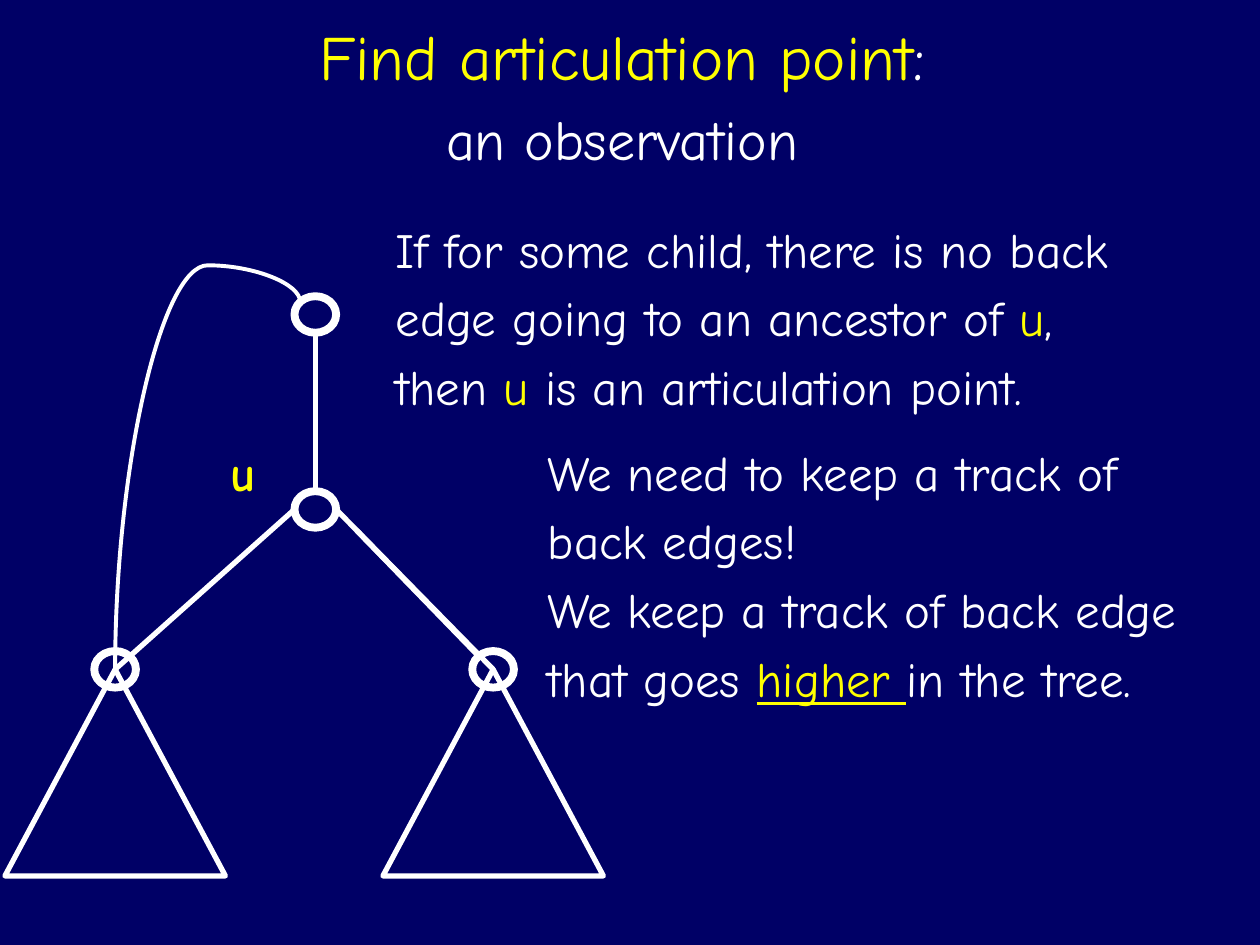
from lxml import etree
from pptx import Presentation
from pptx import util as u
from pptx.dml.color import RGBColor
from pptx.enum import shapes, text
from pptx.oxml import ns

Pt = u.Pt
COLORS = {"navy": "000066", "white": "FFFFFF", "yellow": "FFFF00"}
FONT = "Comic Neue"
NODE_WIDTH, NODE_HEIGHT = 23.8, 20.9
TREE_WIDTH, TREE_HEIGHT = 126, 118
HANGING = 27

# Centres of the graph nodes
ROOT = (180.2, 179.7)
NODE_U = (180.2, 291.1)
CHILDREN = [(65.8, 382.5), (281.8, 382.5)]


def color(name):
    return RGBColor.from_string(COLORS[name])


def style_line(shape, width):
    shape.line.color.rgb = color("white")
    shape.line.width = Pt(width)


def add_outline(slide, kind, left, top, width, height, line):
    shape = slide.shapes.add_shape(kind, Pt(left), Pt(top), Pt(width), Pt(height))
    shape.shadow.inherit = False
    shape.fill.background()
    style_line(shape, line)


def add_node(slide, center):
    x, y = center
    add_outline(slide, shapes.MSO_SHAPE.OVAL, x - NODE_WIDTH / 2, y - NODE_HEIGHT / 2,
                NODE_WIDTH, NODE_HEIGHT, 4.5)


def add_subtree(slide, apex):
    x, y = apex
    add_outline(slide, shapes.MSO_SHAPE.ISOSCELES_TRIANGLE, x - TREE_WIDTH / 2, y,
                TREE_WIDTH, TREE_HEIGHT, 3)


def add_edge(slide, start, end, width=3, kind=shapes.MSO_CONNECTOR.STRAIGHT):
    edge = slide.shapes.add_connector(kind, *(Pt(value) for value in (*start, *end)))
    etree.SubElement(edge._element.spPr, ns.qn("a:effectLst"))
    style_line(edge, width)
    return edge


def add_back_edge(slide, start, end, bend):
    """Curve that leaves start upwards: a flipped connector turned by 90 degrees."""
    middle_x, middle_y = (start[0] + end[0]) / 2, (start[1] + end[1]) / 2
    half_x, half_y = (end[0] - start[0]) / 2, (start[1] - end[1]) / 2
    edge = add_edge(slide, (middle_x + half_y, middle_y + half_x),
                    (middle_x - half_y, middle_y - half_x), 2.25, shapes.MSO_CONNECTOR.CURVE)
    properties = edge._element.spPr
    properties.find(ns.qn("a:xfrm")).set("rot", str(90 * 60000))
    guides = properties.find(ns.qn("a:prstGeom")).find(ns.qn("a:avLst"))
    etree.SubElement(guides, ns.qn("a:gd"), name="adj1", fmla=f"val {round(bend * 100000)}")


def write_text(box, lines, size=28, align=text.PP_ALIGN.LEFT, bold=False, hanging=HANGING,
               spacing=None, anchor=text.MSO_ANCHOR.TOP, fit=text.MSO_AUTO_SIZE.NONE):
    """Each line is a list of spans: (words, color name[, extra font settings])."""
    frame = box.text_frame
    frame.word_wrap = True
    frame.auto_size = fit
    frame.vertical_anchor = anchor
    for index, spans in enumerate(lines):
        para = frame.paragraphs[0] if index == 0 else frame.add_paragraph()
        properties = para._p.get_or_add_pPr()
        properties.set("marL", str(Pt(hanging)))
        properties.set("indent", str(-Pt(hanging)))
        if index:
            before = etree.SubElement(properties, ns.qn("a:spcBef"))
            etree.SubElement(before, ns.qn("a:spcPct"), val="20000")
        para.alignment = align
        if spacing:
            para.line_spacing = spacing
        for words, tint, *extra in spans:
            span = para.add_run()
            span.text = words
            font = span.font
            font.name, font.size, font.bold = FONT, Pt(size), bold
            font.color.rgb = color(tint)
            for settings in extra:
                for key, value in settings.items():
                    setattr(font, key, value)


def add_text(slide, left, top, width, height, lines, **style):
    box = slide.shapes.add_textbox(Pt(left), Pt(top), Pt(width), Pt(height))
    write_text(box, lines, **style)


def add_title(slide):
    title = slide.shapes.title
    title.left, title.top, title.width, title.height = Pt(54), Pt(12), Pt(603), Pt(84)
    frame = title.text_frame
    frame.margin_left = frame.margin_right = Pt(21.6)
    frame.margin_top = frame.margin_bottom = Pt(3.6)
    write_text(title, [
        [("Find articulation point", "yellow"), (":", "white")],
        [("an observation", "white", {"size": Pt(32)})],
    ], size=36, align=text.PP_ALIGN.CENTER, anchor=text.MSO_ANCHOR.MIDDLE)


def add_graph(slide):
    # Tree edges from u to its children, and from the root to u
    for side, child in zip((-1, 1), CHILDREN):
        add_edge(slide, (NODE_U[0] + side * NODE_WIDTH / 2, NODE_U[1]), child)
        add_subtree(slide, child)
    add_edge(slide, (203.8, 303.1), (273.6, 375.1))
    add_edge(slide, (ROOT[0], ROOT[1] + NODE_HEIGHT / 2),
             (NODE_U[0], NODE_U[1] - NODE_HEIGHT / 2))
    for center in (ROOT, NODE_U, *CHILDREN):
        add_node(slide, center)
    # Back edge from the left child to the root
    add_back_edge(slide, CHILDREN[0], (171.6, 172.6), 1.1)


def main():
    deck = Presentation()
    deck.slide_width, deck.slide_height = Pt(720), Pt(540)
    page = deck.slides.add_slide(deck.slide_layouts[5])
    page.background.fill.solid()
    page.background.fill.fore_color.rgb = color("navy")

    add_title(page)
    add_graph(page)

    # Observation
    add_text(page, 219, 121.7, 480, 138, [
        [("If for some child, there is no back", "white")],
        [("edge going to an ancestor of ", "white"), ("u", "yellow"), (",", "white")],
        [("then ", "white"), ("u", "yellow"), (" is an articulation point.", "white")],
    ])
    # Node label
    add_text(page, 105.8, 253.4, 66.2, 37.4, [[("u", "yellow")]], bold=True, hanging=0,
             align=text.PP_ALIGN.CENTER, spacing=0.9,
             fit=text.MSO_AUTO_SIZE.SHAPE_TO_FIT_TEXT)
    # Consequence
    add_text(page, 306, 249.1, 414, 224.6, [
        [("We need to keep a track of", "white")],
        [("back edges!", "white")],
        [("We keep a track of back edge", "white")],
        [("that goes ", "white"), ("higher ", "yellow", {"underline": True}),
         ("in the tree.", "white")],
    ])
    deck.save("out.pptx")


if __name__ == "__main__":
    main()
